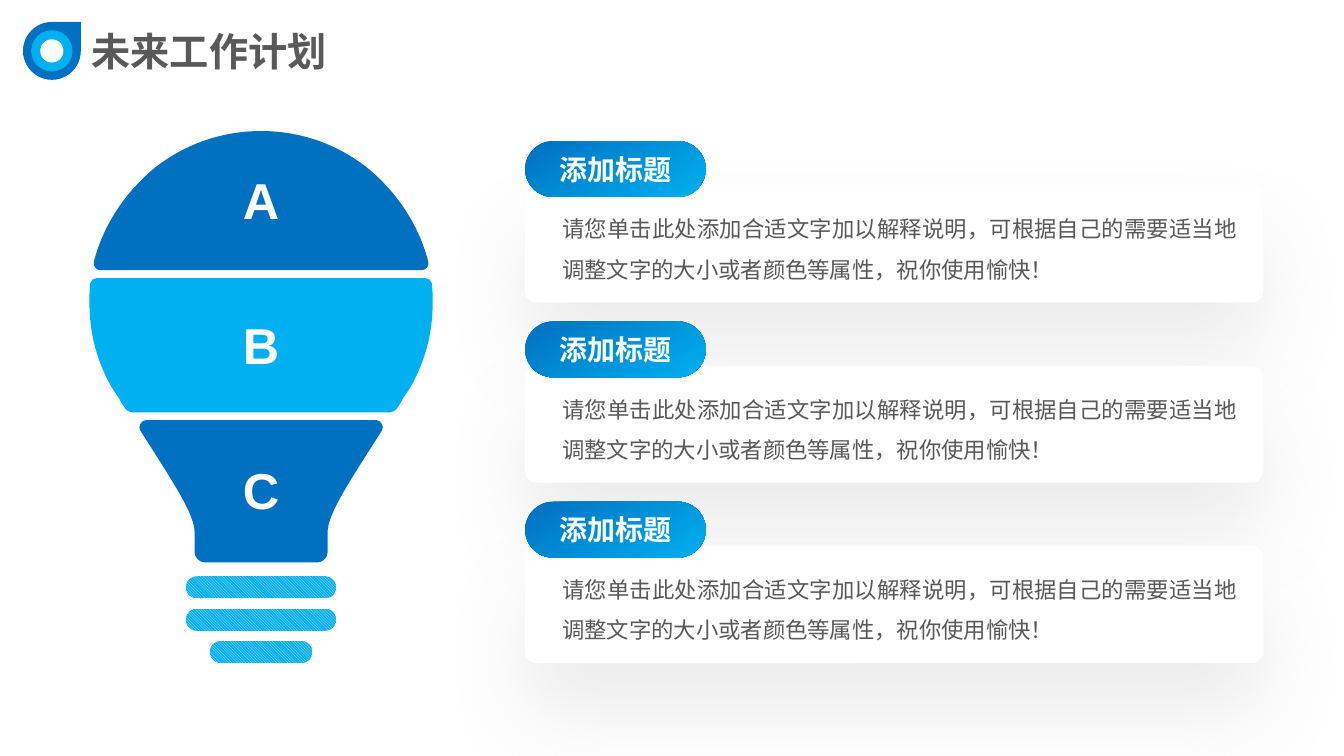
from lxml.etree import SubElement
from pptx import Presentation
from pptx.dml.color import RGBColor
from pptx.enum.dml import MSO_PATTERN
from pptx.enum.shapes import MSO_SHAPE
from pptx.enum.text import MSO_ANCHOR, PP_ALIGN
from pptx.oxml.ns import qn
from pptx.util import Pt

DARK_BLUE, LIGHT_BLUE = "0070C0", "00B0F0"
WHITE, GREY = "FFFFFF", "595959"
CARD_TEXT = "请您单击此处添加合适文字加以解释说明，可根据自己的需要适当地调整文字的大小或者颜色等属性，祝你使用愉快！"
CAP = [
    (0, 0), (28.1, 0), (54.7, 9.4), (76.3, 26.6),
    (97.2, 43.9), (113, 67.7), (119.5, 93.6),
    (119.9, 95), (119.5, 96.5), (118.1, 97.9),
    (117.4, 98.6), (116, 99.4), (115.2, 99.4),
]
BELLY = [
    (117.4, 105.1), (119.5, 105.1), (121.7, 106.6), (122, 108.7),
    (122.6, 113.8), (122.6, 118.1), (122.6, 122.4),
    (122.6, 141.1), (118.8, 158.4), (110.9, 175),
    (108.7, 180), (105.1, 185.8), (101.5, 190.8),
    (100.1, 193.7), (98.6, 195.8), (97.2, 198),
    (95.5, 200), (94, 200.9), (92.2, 200.9),
]
NECK = [
    (82.8, 206.6), (84.2, 206.6), (85.7, 208.1), (86.4, 209.5),
    (87.1, 211), (87.1, 212.4), (86.4, 213.8),
    (62.6, 251.3), (47.5, 273.6), (47.5, 286.6),
    (47.5, 286.6), (47.5, 301), (47.5, 301),
    (47.5, 304.6), (43.9, 308.2), (40.3, 308.2),
]


def color(value):
    return RGBColor.from_string(value)


def finish(shape, fill=None):
    shape.shadow.inherit = False
    shape.line.fill.background()
    if fill:
        shape.fill.solid()
        shape.fill.fore_color.rgb = color(fill)
    return shape


def add_shape(page, kind, left, top, width, height, fill=None, rounding=None):
    shape = page.shapes.add_shape(kind, Pt(left), Pt(top), Pt(width), Pt(height))
    if rounding is not None:
        shape.adjustments[0] = rounding
    return finish(shape, fill)


def write(box, text, size, ink, bold=False, align=PP_ALIGN.LEFT, wrap=True):
    box.text_frame.word_wrap = wrap
    para = box.text_frame.paragraphs[0]
    para.text = text
    para.alignment = align
    para.font.name = "Arial"
    para.font.size = Pt(size)
    para.font.bold = bold
    para.font.color.rgb = color(ink)
    return para


def add_text(page, left, top, width, height, *args, **options):
    box = page.shapes.add_textbox(Pt(left), Pt(top), Pt(width), Pt(height))
    return write(box, *args, **options)


def add_soft_shadow(shape):
    effects = shape._element.spPr.find(qn("a:effectLst"))
    shadow = SubElement(effects, qn("a:outerShdw"), blurRad=str(Pt(60)),
                        dist=str(Pt(35)), dir="5400000", algn="t", rotWithShape="0")
    tint = SubElement(shadow, qn("a:srgbClr"), val="808080")
    SubElement(tint, qn("a:alpha"), val="15000")


def bend_lines(shape):
    outline = next(shape._element.spPr.iter(qn("a:path")))
    lines = outline.findall(qn("a:lnTo"))
    for first, second, end in zip(lines[::3], lines[1::3], lines[2::3]):
        bend = SubElement(outline, qn("a:cubicBezTo"))
        first.addprevious(bend)
        for line in (first, second, end):
            bend.append(line[0])
            outline.remove(line)


def add_symmetric(page, axis, top, right_half, fill):
    left_half = [(-x, y) for x, y in reversed(right_half)]
    base = [right_half[-1], left_half[0]]
    points = [((axis + x) * 100, (top + y) * 100)
              for x, y in right_half + base + left_half]
    builder = page.shapes.build_freeform(*points[0], scale=Pt(1) / 100)
    builder.add_line_segments(points[1:], close=True)
    shape = finish(builder.convert_to_shape(), fill)
    bend_lines(shape)


def add_heading(page, left, top, title):
    size = 41.3
    add_shape(page, MSO_SHAPE.TEAR, left, top, size, size, DARK_BLUE)
    for diameter, fill in ((29.5, LIGHT_BLUE), (16.6, WHITE)):
        inset = (size - diameter) / 2
        add_shape(page, MSO_SHAPE.OVAL, left + inset, top + inset, diameter, diameter, fill)
    add_text(page, left + 42, top, 183.6, 41, title, 28, GREY, bold=True, wrap=False)


def add_bulb(page, axis, top):
    parts = (("A", CAP, DARK_BLUE), ("B", BELLY, LIGHT_BLUE), ("C", NECK, DARK_BLUE))
    for index, (letter, right_half, fill) in enumerate(parts):
        add_symmetric(page, axis, top, right_half, fill)
        add_text(page, axis - 62.6, top + 23.9 + index * 103.5, 125.3, 51,
                 letter, 36, WHITE, bold=True, align=PP_ALIGN.CENTER)
    for index, width in enumerate((107.5, 107.5, 73.4)):
        ring = add_shape(page, MSO_SHAPE.ROUNDED_RECTANGLE, axis - width / 2,
                         top + 318 + index * 23.1, width, 15.9, rounding=0.5)
        ring.fill.patterned()
        ring.fill.pattern = MSO_PATTERN.LIGHT_DOWNWARD_DIAGONAL
        ring.fill.fore_color.rgb = color("D6DCE5")
        ring.fill.back_color.rgb = color(LIGHT_BLUE)


def add_card(page, left, top, width, title, text):
    panel = add_shape(page, MSO_SHAPE.ROUNDED_RECTANGLE, left, top + 31.7,
                      width, 83.5, WHITE, 0.092)
    add_soft_shadow(panel)
    para = add_text(page, left + 19.4, top + 39.9, width - 30.2, 62, text, 16, GREY,
                    align=PP_ALIGN.JUSTIFY)
    para.line_spacing = 1.5
    label = add_shape(page, MSO_SHAPE.ROUNDED_RECTANGLE, left, top, 129, 39.9, rounding=0.5)
    label.fill.gradient()
    label.fill.gradient_angle = 300
    for stop, tint in zip(label.fill.gradient_stops, (DARK_BLUE, LIGHT_BLUE)):
        stop.color.rgb = color(tint)
    label.text_frame.vertical_anchor = MSO_ANCHOR.MIDDLE
    write(label, title, 20, WHITE, bold=True, align=PP_ALIGN.CENTER)


deck = Presentation()
deck.slide_width, deck.slide_height = Pt(960), Pt(540)
page = deck.slides.add_slide(deck.slide_layouts[6])
add_heading(page, 16.4, 15.7, "未来工作计划")
add_bulb(page, 186.5, 93.6)
for row in range(3):
    add_card(page, 375.1, 100.8 + row * 128.8, 527, "添加标题", CARD_TEXT)
deck.save("out.pptx")
